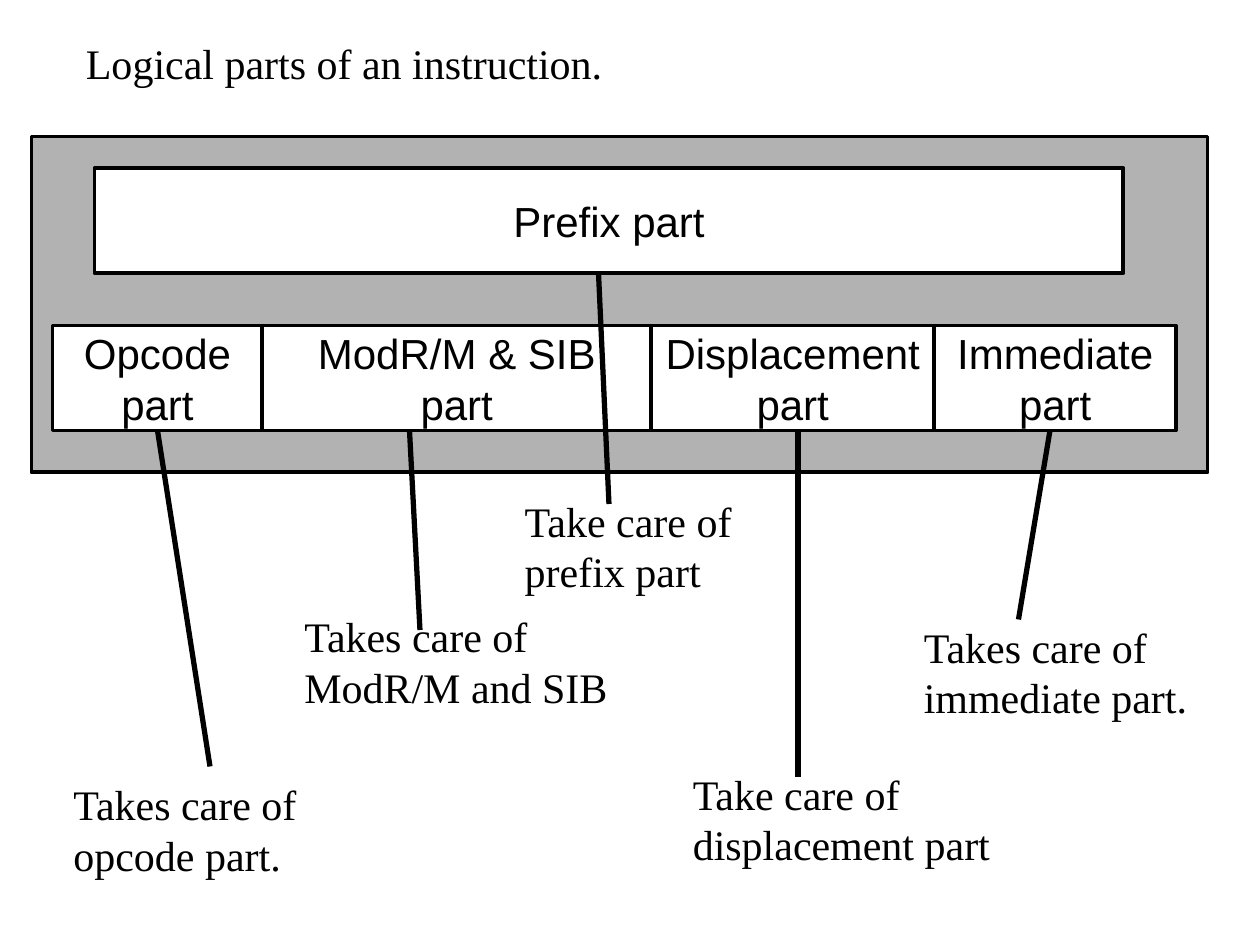
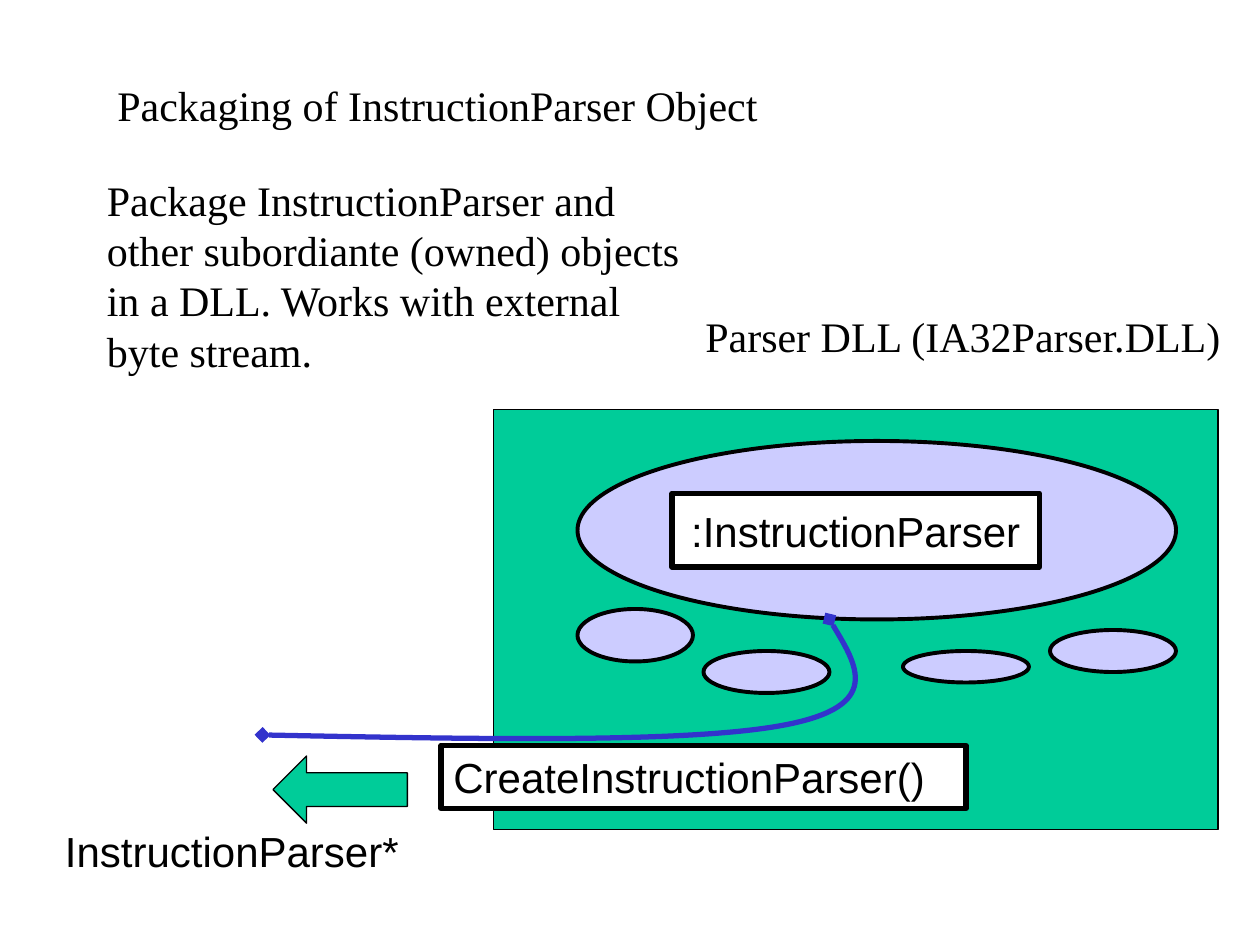
import pptx
import pptx.util
import pptx.dml.color
import pptx.enum.shapes
import pptx.enum.text
import pptx.oxml.ns
from lxml import etree

RGB = pptx.dml.color.RGBColor
BLACK = RGB(0, 0, 0)
WHITE = RGB(255, 255, 255)
GRAY = RGB(0xB2, 0xB2, 0xB2)
GREEN = RGB(0, 0xCC, 0x99)
LILAC = RGB(0xCC, 0xCC, 0xFF)
BLUE = RGB(0x33, 0x33, 0xCC)
SERIF, SANS = "Times New Roman", "Arial"
SCALE = 7620

FORM = pptx.enum.shapes.MSO_SHAPE
ANCHOR = pptx.enum.text.MSO_ANCHOR
ALIGN = pptx.enum.text.PP_ALIGN
qn = pptx.oxml.ns.qn


def emu(*px):
    return [pptx.util.Emu(n * SCALE) for n in px]


class Deck:
    """Draws styled elements on the current slide, with lengths in px."""

    def __init__(self):
        self.show = pptx.Presentation()
        self.show.slide_width, self.show.slide_height = emu(1200, 900)

    def page(self):
        self.slide = self.show.slides.add_slide(self.show.slide_layouts[6])

    def words(self, frame, text, font, align, anchor, wrap):
        frame.text = text
        frame.word_wrap = wrap
        frame.vertical_anchor = anchor
        for para in frame.paragraphs:
            para.alignment = align
            for run in para.runs:
                run.font.size = pptx.util.Pt(24)
                run.font.name = font
                run.font.color.rgb = BLACK

    def stroke(self, line, color, width):
        line.color.rgb = color
        line.width = pptx.util.Pt(width)

    def shape(self, form, box, fill, width=2.25):
        item = self.slide.shapes.add_shape(form, *emu(*box))
        item.shadow.inherit = False
        item.fill.solid()
        item.fill.fore_color.rgb = fill
        self.stroke(item.line, BLACK, width)
        return item

    def label(self, box, text, width=2.25, align=ALIGN.CENTER,
              anchor=ANCHOR.MIDDLE, wrap=False):
        item = self.shape(FORM.RECTANGLE, box, WHITE, width)
        self.words(item.text_frame, text, SANS, align, anchor, wrap)

    def text(self, box, text, font=SERIF):
        item = self.slide.shapes.add_textbox(*emu(*box))
        self.words(item.text_frame, text, font, ALIGN.LEFT, ANCHOR.TOP, False)

    def line(self, *ends):
        kind = pptx.enum.shapes.MSO_CONNECTOR.STRAIGHT
        item = self.slide.shapes.add_connector(kind, *emu(*ends))
        self.stroke(item.line, BLACK, 3)
        etree.SubElement(item._element.spPr, qn("a:effectLst"))

    def curve(self, start, *points):
        maker = self.slide.shapes.build_freeform(*start, scale=SCALE)
        maker.add_line_segments(points, close=False)
        item = maker.convert_to_shape()
        item.shadow.inherit = False
        item.fill.background()
        self.stroke(item.line, BLUE, 3)
        prop = item._element.spPr
        steps = list(prop.iter(qn("a:lnTo")))
        for i in range(0, len(steps), 3):
            bend = etree.Element(qn("a:cubicBezTo"))
            steps[i].addprevious(bend)
            for step in steps[i:i + 3]:
                bend.append(step[0])
                step.getparent().remove(step)
        for end in ("a:headEnd", "a:tailEnd"):
            etree.SubElement(prop.find(qn("a:ln")), qn(end), type="diamond")


def parts(deck):
    deck.page()
    deck.shape(FORM.RECTANGLE, (30, 130, 1120, 320), GRAY)
    deck.label((90, 160, 980, 100), "Prefix part")
    names = ("Opcode", "ModR/M & SIB", "Displacement", "Immediate")
    edges = (50, 250, 620, 890, 1120)
    for name, left, right in zip(names, edges, edges[1:]):
        deck.label((left, 310, right - left, 100), f"{name}\npart")
    deck.text((70, 30, 516, 60), "Logical parts of an instruction.")
    notes = (
        ((150, 410, 200, 730), (58, 736, 239), "Takes care of\nopcode part."),
        ((390, 410, 400, 600), (278, 576, 313), "Takes care of\nModR/M and SIB"),
        ((570, 260, 580, 480), (488, 466, 223), "Take care of\nprefix part"),
        ((760, 410, 760, 740), (648, 726, 307), "Take care of\ndisplacement part"),
        ((1000, 410, 970, 590), (868, 586, 275), "Takes care of\nimmediate part."),
    )
    for ends, spot, note in notes:
        deck.line(*ends)
        deck.text((*spot, 108), note)


def packing(deck):
    deck.page()
    deck.shape(FORM.RECTANGLE, (470, 390, 690, 400), GREEN, 0.75)
    deck.text((100, 70, 634, 60), "Packaging of InstructionParser Object")
    deck.label((420, 710, 500, 60), "CreateInstructionParser()", 3,
               ALIGN.LEFT, ANCHOR.TOP, True)
    deck.shape(FORM.OVAL, (550, 420, 570, 170), LILAC)
    deck.label((640, 470, 350, 70), ":InstructionParser", 3)
    deck.text((660, 290, 518, 60), "Parser DLL (IA32Parser.DLL)")
    deck.shape(FORM.LEFT_ARROW, (260, 720, 128, 64), GREEN, 0.75)
    deck.text((50, 780, 342, 60), "InstructionParser*", SANS)
    deck.text((90, 160, 569, 204),
              "Package InstructionParser and\n"
              "other subordiante (owned) objects\n"
              "in a DLL. Works with external\n"
              "byte stream.")
    for box in ((860, 620, 120, 30), (550, 580, 110, 50),
                (670, 620, 120, 40), (1000, 600, 120, 40)):
        deck.shape(FORM.OVAL, box, LILAC)
    deck.curve((790, 590), (815, 631), (840, 672), (750, 690),
               (660, 708), (455, 704), (250, 700))


def main():
    deck = Deck()
    parts(deck)
    packing(deck)
    deck.show.save("out.pptx")


if __name__ == "__main__":
    main()
